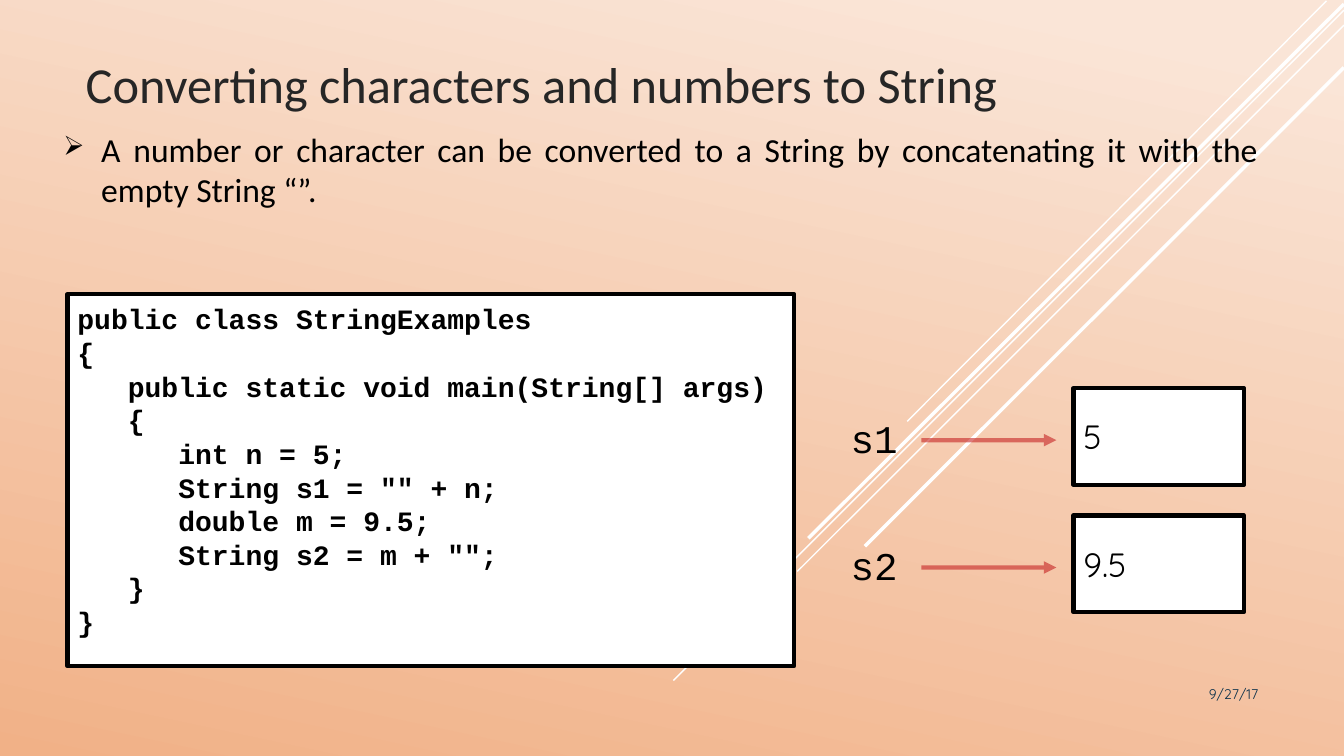
from lxml.etree import SubElement as Sub
from pptx import Presentation
from pptx.dml.color import RGBColor as Rgb
from pptx.enum.shapes import MSO_CONNECTOR as Link, MSO_SHAPE as Kind
from pptx.enum.text import MSO_ANCHOR as Anchor, MSO_AUTO_SIZE as Auto, PP_ALIGN as Align
from pptx.oxml.ns import qn
from pptx.util import Pt

INK = {"light": "FAE5D7", "deep": "F1B187", "white": "FFFFFF", "black": "000000",
       "title": "262626", "date": "0A304A", "arrow": "C62324"}
RAYS = [(947.5, 0.7, 648, 301, 1), (960, 7.2, 481, 486, 1), (960, 18, 569.5, 408.2, 1),
        (960, 2.9, 577.4, 384.5, 2.5), (960, 48.2, 617.8, 390.2, 2.5)]
CODE = """public class StringExamples
{
   public static void main(String[] args)
   {
      int n = 5;
      String s1 = "" + n;
      double m = 9.5;
      String s2 = m + "";
   }
}"""
VARS = [("s1", "5"), ("s2", "9.5")]


def tint(name):
    """Return the named colour."""
    return Rgb.from_string(INK[name])


def write(shape, text, size=24, face="Calibri", color="black", bold=False,
          align=Align.LEFT, anchor=Anchor.TOP, pitch=None, mark=None):
    """Put formatted text in a shape."""
    frame = shape.text_frame
    frame.word_wrap = True
    frame.auto_size = Auto.NONE
    frame.vertical_anchor = anchor
    frame.text = text
    for para in frame.paragraphs:
        para.alignment = align
        if pitch:
            para.line_spacing = Pt(pitch)
        if mark:
            bullet(para, mark)
        font = para.font
        font.size, font.name, font.bold = Pt(size), face, bold
        font.color.rgb = tint(color)


def bullet(para, mark):
    """Give a paragraph a hanging bullet."""
    props = para._p.get_or_add_pPr()
    props.set("marL", str(Pt(27)))
    props.set("indent", str(-Pt(27)))
    Sub(Sub(props, qn("a:buClr")), qn("a:srgbClr"), val=INK["black"])
    Sub(props, qn("a:buSzPct"), val="80000")
    Sub(props, qn("a:buChar"), char=mark)


def label(slide, text, *area, **style):
    """Add a text box."""
    box = slide.shapes.add_textbox(*map(Pt, area))
    write(box, text, **style)
    return box


def panel(slide, text, *area, **style):
    """Add a white box with a black border."""
    box = slide.shapes.add_shape(Kind.RECTANGLE, *map(Pt, area))
    box.shadow.inherit = False
    box.fill.solid()
    box.fill.fore_color.rgb = tint("white")
    box.line.color.rgb = tint("black")
    box.line.width = Pt(3)
    write(box, text, **style)
    return box


def stroke(slide, ends, color, width):
    """Add a straight line."""
    line = slide.shapes.add_connector(Link.STRAIGHT, *map(Pt, ends))
    line.line.color.rgb = tint(color)
    line.line.width = Pt(width)
    Sub(line._element.spPr, qn("a:effectLst"))
    return line


def arrow(slide, start, ends):
    """Add a translucent arrow that leaves the right side of a label."""
    line = stroke(slide, ends, "arrow", 3)
    line.begin_connect(start, 3)
    pen = line.line._get_or_add_ln()
    Sub(pen.find(".//" + qn("a:srgbClr")), qn("a:alpha"), val="60000")
    Sub(pen, qn("a:tailEnd"), type="triangle")


def paint(slide):
    """Fill the background with a gradient and rays."""
    fill = slide.background.fill
    fill.gradient()
    fill.gradient_angle = 258
    for stop, place, name in zip(fill.gradient_stops, (0.07, 1), ("light", "deep")):
        stop.position = place
        stop.color.rgb = tint(name)
    for *ends, width in RAYS:
        stroke(slide, ends, "white", width)


def main():
    """Build the slide."""
    deck = Presentation()
    deck.slide_width, deck.slide_height = Pt(960), Pt(540)
    slide = deck.slides.add_slide(deck.slide_layouts[5])
    paint(slide)

    title = slide.shapes.title
    title.left, title.top, title.width, title.height = map(Pt, (54, 10.8, 777.6, 74.2))
    write(title, "Converting characters and numbers to String", size=36,
          color="title", anchor=Anchor.BOTTOM)
    label(slide, "A number or character can be converted to a String by "
          "concatenating it with the empty String “”.",
          38.2, 88.6, 867.6, 181.4, align=Align.JUSTIFY, mark="➢")
    code = panel(slide, CODE, 48.2, 210.2, 519.1, 265.7, size=20,
                 face="Courier New", bold=True, pitch=24)
    code.text_frame.margin_top = Pt(5.5)

    for row, (name, value) in enumerate(VARS):
        drop = row * 91
        panel(slide, value, 766.8, 277.2 + drop, 121.7, 69.1,
              face="Quicksand", anchor=Anchor.MIDDLE)
        tag = label(slide, name, 600.5, 292.4 + drop, 57.6, 44,
                    size=28, face="Courier New")
        level = 314.4 + drop
        arrow(slide, tag, (658.1, level, 754.6, level))

    label(slide, "9/27/17", 779.8, 486, 126, 28.8, size=10, face="Quicksand",
          color="date", align=Align.RIGHT, anchor=Anchor.TOP)
    deck.save("out.pptx")


if __name__ == "__main__":
    main()
